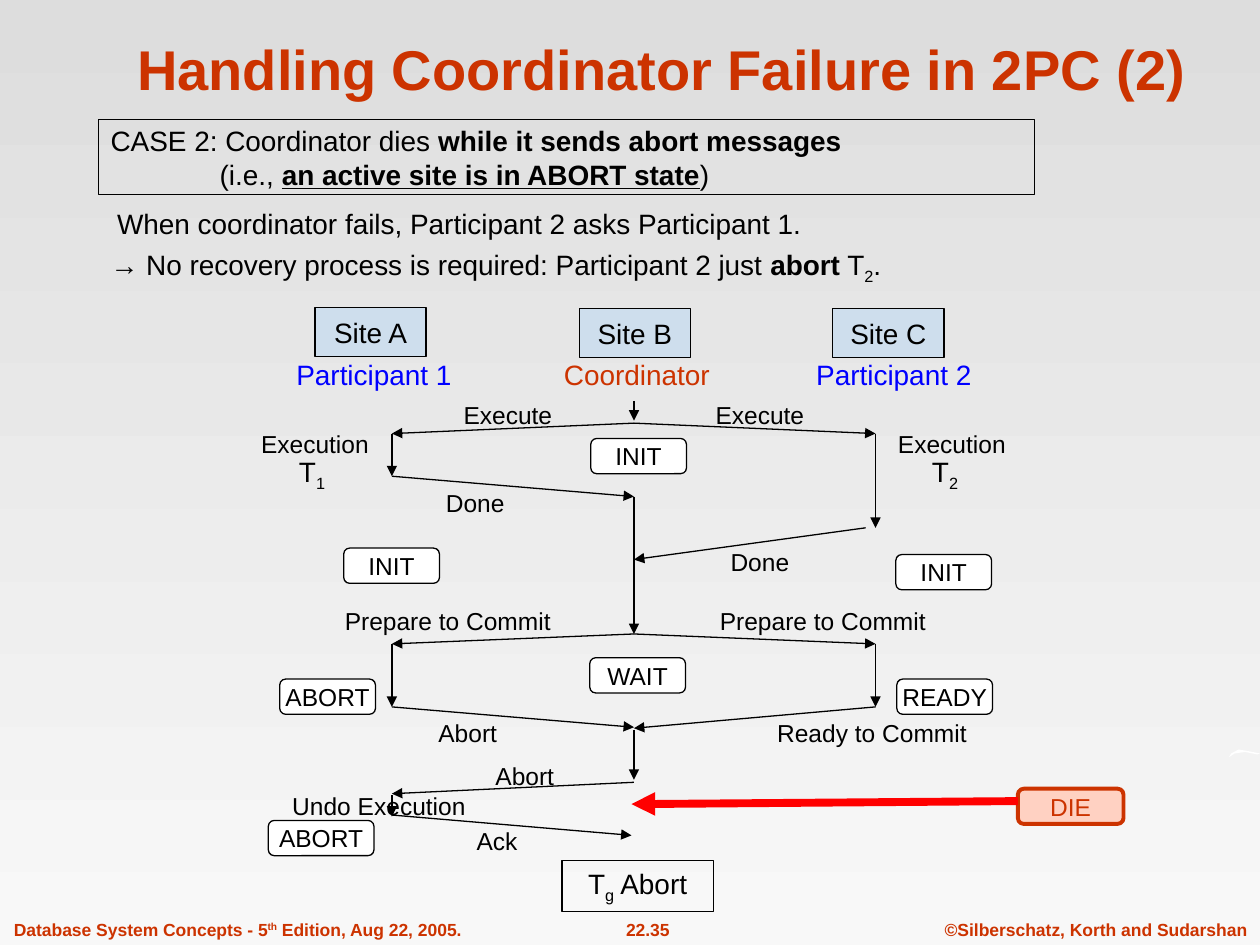
from lxml import etree
from pptx import Presentation, util as u
from pptx.dml import color
from pptx.enum import shapes, text
from pptx.oxml import ns

BLACK, RUST, BLUE, WHITE = "000000", "CC3300", "0000FF", "FFFFFF"
LEFT, MIDDLE, RIGHT = 7.9, 12.78, 17.65
ALIGN = text.PP_ALIGN


def rgb(value):
    """Turn a hex string into a colour."""
    return color.RGBColor.from_string(value)


def add_span(para, content, size, ink=BLACK, bold=False, underline=False, shift=0):
    """Add one run, raised or lowered by shift percent."""
    span = para.add_run()
    span.text = content
    font = span.font
    font.name, font.size, font.bold = "Arial", u.Pt(size), bold
    font.underline = underline
    font.color.rgb = rgb(ink)
    if shift:
        font._element.set("baseline", str(shift * 1000))


def fill_frame(box, spans, size, ink=BLACK, align=ALIGN.CENTER, wrap=False, bold=False):
    """Write one paragraph of spans into the middle of a box."""
    frame = box.text_frame
    frame.word_wrap = wrap
    frame.vertical_anchor = text.MSO_ANCHOR.MIDDLE
    para = frame.paragraphs[0]
    para.alignment = align
    write_spans(para, spans, size, ink, bold)
    return frame


def write_spans(para, spans, size, ink=BLACK, bold=False):
    """Write a string, or a list of strings and (string, style) pairs."""
    for item in [spans] if isinstance(spans, str) else spans:
        content, style = (item, {}) if isinstance(item, str) else item
        add_span(para, content, size, **{"ink": ink, "bold": bold, **style})


def add_label(page, x, y, spans, size=14, ink=BLACK, align=ALIGN.CENTER, bold=False):
    """Add a text label around the height y, aligned on x."""
    width, height = 10, 0.8
    share = {ALIGN.LEFT: 0, ALIGN.CENTER: 0.5, ALIGN.RIGHT: 1}[align]
    box = page.shapes.add_textbox(u.Cm(x - width * share), u.Cm(y - height / 2),
                                  u.Cm(width), u.Cm(height))
    frame = fill_frame(box, spans, size, ink, align, True, bold)
    frame.margin_left = frame.margin_right = frame.margin_top = frame.margin_bottom = 0


def add_box(page, kind, x, y, width, height, fill=None, line=BLACK, weight=0.75):
    """Add an outlined preset shape."""
    box = page.shapes.add_shape(kind, u.Cm(x), u.Cm(y), u.Cm(width), u.Cm(height))
    box.shadow.inherit = False
    if fill:
        box.fill.solid()
        box.fill.fore_color.rgb = rgb(fill)
    else:
        box.fill.background()
    box.line.color.rgb = rgb(line)
    box.line.width = u.Pt(weight)
    return box


def add_site(page, x, y, name):
    """Add a translucent site box."""
    box = add_box(page, shapes.MSO_SHAPE.RECTANGLE, x, y, 2.24, 0.99, "99CCFF")
    tint = box._element.spPr.find(ns.qn("a:solidFill")).find(ns.qn("a:srgbClr"))
    etree.SubElement(tint, ns.qn("a:alpha"), val="30000")
    fill_frame(box, name, 16)


def add_state(page, x, y, name, width=1.93, fill=WHITE, ink=BLACK, line=BLACK, weight=0.75):
    """Add a rounded protocol state."""
    box = add_box(page, shapes.MSO_SHAPE.ROUNDED_RECTANGLE, x, y, width, 0.71,
                  fill, line, weight)
    fill_frame(box, name, 14, ink)


def add_arrow(page, x1, y1, x2, y2, ink=BLACK, weight=0.75):
    """Add a straight arrow with a triangle at its end."""
    arrow = page.shapes.add_connector(shapes.MSO_CONNECTOR.STRAIGHT,
                                      u.Cm(x1), u.Cm(y1), u.Cm(x2), u.Cm(y2))
    arrow.line.color.rgb = rgb(ink)
    arrow.line.width = u.Pt(weight)
    etree.SubElement(arrow.line._get_or_add_ln(), ns.qn("a:tailEnd"), type="triangle")
    etree.SubElement(arrow._element.spPr, ns.qn("a:effectLst"))


def add_background(page):
    """Paint the grey gradient and the white stroke at the right edge."""
    fill = page.background.fill
    fill.gradient()
    fill.gradient_angle = 270
    for stop, shade, position in zip(fill.gradient_stops, ("DDDDDD", "F8F8F8"), (0, 1)):
        stop.color.rgb = rgb(shade)
        stop.position = position
    builder = page.shapes.build_freeform(2477, 1527, scale=u.Cm(0.01))
    builder.add_line_segments([(2482, 1519), (2497, 1511), (2515, 1514), (2540, 1519),
                               (2535, 1521), (2510, 1516), (2489, 1519)], close=True)
    stroke = builder.convert_to_shape()
    stroke.shadow.inherit = False
    stroke.fill.solid()
    stroke.fill.fore_color.rgb = rgb(WHITE)
    stroke.line.fill.background()


def add_heading(page):
    """Add the title, the framed case and the two remarks."""
    title = page.shapes.add_textbox(u.Cm(2.13), u.Cm(0.48), u.Cm(22.43), u.Cm(1.7))
    frame = fill_frame(title, "Handling Coordinator Failure in 2PC (2)", 32, RUST,
                       wrap=True, bold=True)
    frame.vertical_anchor = text.MSO_ANCHOR.BOTTOM

    case = add_box(page, shapes.MSO_SHAPE.RECTANGLE, 1.98, 2.41, 18.87, 1.52)
    frame = fill_frame(case, ["CASE 2: Coordinator dies",
                              (" while it sends abort messages", {"bold": True})],
                       16, align=ALIGN.LEFT, wrap=True)
    para = frame.add_paragraph()
    para.alignment = ALIGN.LEFT
    para._p.get_or_add_pPr().set("marL", str(u.Cm(2.2)))
    write_spans(para, ["(i.e., ", ("an active site is in ABORT state",
                                   {"bold": True, "underline": True}), ")"], 16)

    remarks = page.shapes.add_textbox(u.Cm(1.98), u.Cm(4.04), u.Cm(22.8), u.Cm(1.83))
    frame = fill_frame(remarks, "When coordinator fails, Participant 2 asks Participant 1.",
                       16, align=ALIGN.LEFT, wrap=True)
    frame.vertical_anchor = text.MSO_ANCHOR.TOP
    frame.paragraphs[0]._p.get_or_add_pPr().set("marL", str(u.Cm(0.13)))
    para = frame.add_paragraph()
    para.space_before = u.Pt(4)
    write_spans(para, ["→ No recovery process is required: Participant 2 just ",
                       ("abort", {"bold": True}), " T", ("2", {"shift": -25}), "."], 16)


def add_footer(page):
    """Add the three footer texts."""
    edition = ["Database System Concepts - 5", ("th", {"shift": 30}), " Edition, Aug 22, 2005."]
    for x, spans, align in [(0.28, edition, ALIGN.LEFT), (13.06, "22.35", ALIGN.CENTER),
                            (25.14, "©Silberschatz, Korth and Sudarshan", ALIGN.RIGHT)]:
        add_label(page, x, 18.73, spans, 10, RUST, align, True)


def add_protocol(page):
    """Add the message diagram of the three sites."""
    for x, role, ink in [(7.54, "Participant 1", BLUE), (12.84, "Coordinator", RUST),
                         (18.02, "Participant 2", BLUE)]:
        add_label(page, x, 7.54, role, 16, ink)
    for x, y, message in [
            (10.24, 8.37, "Execute"), (15.32, 8.37, "Execute"),
            (6.35, 8.95, "Execution"), (19.19, 8.95, "Execution"),
            (9.58, 10.14, "Done"), (15.32, 11.33, "Done"),
            (9.03, 12.52, "Prepare to Commit"), (16.59, 12.52, "Prepare to Commit"),
            (9.43, 14.78, "Abort"), (17.58, 14.78, "Ready to Commit"),
            (10.58, 15.64, "Abort"), (7.64, 16.25, "Undo Execution"), (10.02, 16.95, "Ack")]:
        add_label(page, x, y, message)
    for x, index in [(6.29, "1"), (19.05, "2")]:
        add_label(page, x, 9.55, ["T", (index, {"shift": -25})], 16)

    for ends in [
            (MIDDLE, 8.08, MIDDLE, 8.48), (MIDDLE, 8.53, LEFT, 8.74),
            (MIDDLE, 8.53, RIGHT, 8.74), (LEFT, 8.74, LEFT, 9.6),
            (LEFT, 9.6, MIDDLE, 10.01), (RIGHT, 8.74, RIGHT, 10.64),
            (17.45, 10.64, MIDDLE, 11.28), (MIDDLE, 10.01, MIDDLE, 12.78),
            (MIDDLE, 12.78, LEFT, 12.98), (MIDDLE, 12.78, RIGHT, 12.98),
            (LEFT, 12.98, LEFT, 14.25), (RIGHT, 12.98, RIGHT, 14.25),
            (LEFT, 14.25, MIDDLE, 14.66), (RIGHT, 14.25, MIDDLE, 14.68),
            (MIDDLE, 14.71, MIDDLE, 15.72), (MIDDLE, 15.77, LEFT, 16),
            (LEFT, 16.03, LEFT, 16.46), (LEFT, 16.43, 12.73, 16.84)]:
        add_arrow(page, *ends)

    for x, y, name in [(6.35, 6.2, "Site A"), (11.68, 6.22, "Site B"), (16.79, 6.22, "Site C")]:
        add_site(page, x, y, name)
    for x, y, name in [(11.91, 8.84, "INIT"), (6.93, 11.05, "INIT"), (18.06, 11.18, "INIT"),
                       (11.89, 13.26, "WAIT"), (5.64, 13.69, "ABORT"), (18.08, 13.69, "READY")]:
        add_state(page, x, y, name)
    add_state(page, 5.41, 16.54, "ABORT", 2.13)
    add_state(page, 20.52, 15.9, "DIE", 2.13, "FFD1C2", RUST, RUST, 2.25)
    result = add_box(page, shapes.MSO_SHAPE.RECTANGLE, 11.33, 17.35, 3.05, 1.02)
    fill_frame(result, ["T", ("g", {"shift": -25}), " Abort"], 16)
    add_arrow(page, 20.52, 16.15, 12.73, 16.21, "FF0000", 4.5)


def main():
    """Build and save the slide."""
    deck = Presentation()
    deck.slide_width, deck.slide_height = u.Cm(25.4), u.Cm(19.05)
    page = deck.slides.add_slide(deck.slide_layouts[6])
    add_background(page)
    add_footer(page)
    add_heading(page)
    add_protocol(page)
    deck.save("out.pptx")


if __name__ == "__main__":
    main()
